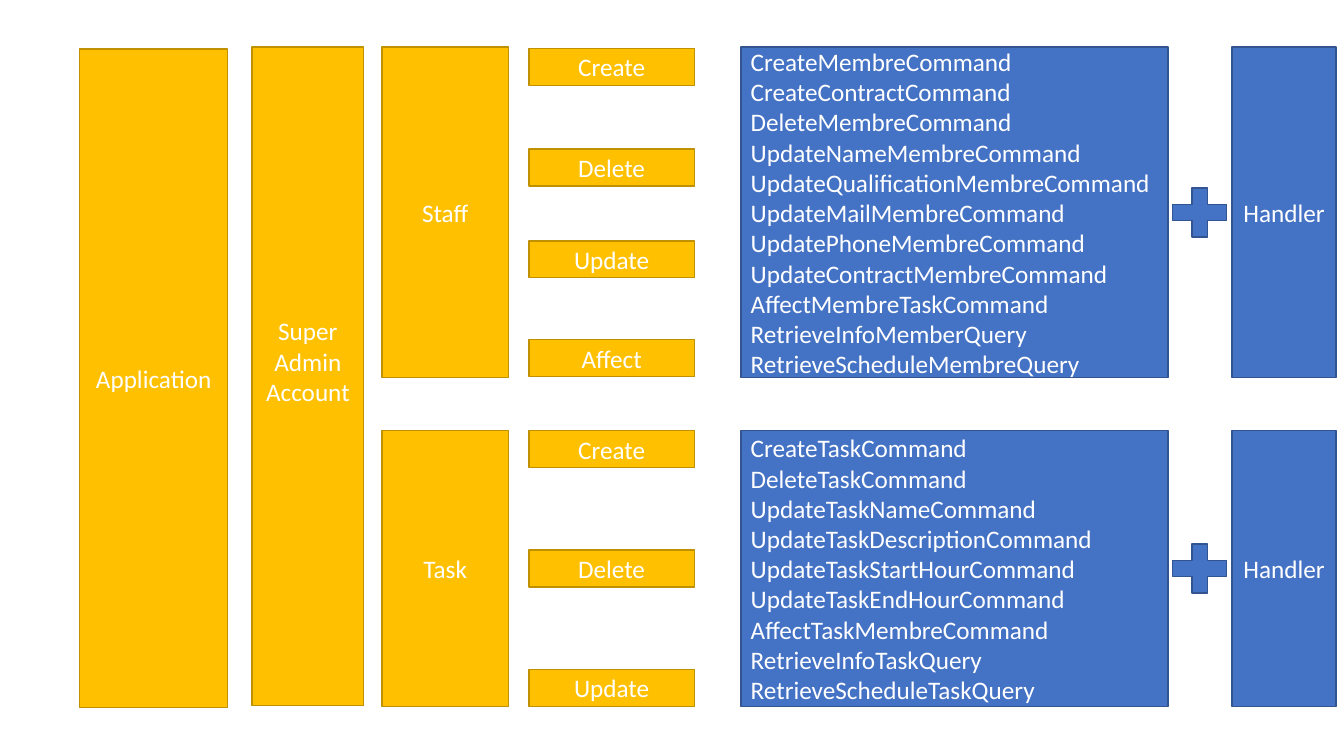
import pptx
import pptx.util
import pptx.dml.color
import pptx.enum.shapes
import pptx.enum.text

Cm = pptx.util.Cm
SHAPE = pptx.enum.shapes.MSO_SHAPE
ALIGN = pptx.enum.text.PP_ALIGN

GOLD = ("FFC000", "BF9000")
BLUE = ("4472C4", "325491")
FONT_FORMAT = {"name": "Calibri", "size": pptx.util.Pt(18)}
FRAME_FORMAT = {
    "word_wrap": True,
    "vertical_anchor": pptx.enum.text.MSO_ANCHOR.MIDDLE,
}

STAFF_ACTIONS = {"Create": 0.03, "Delete": 2.57, "Update": 4.88, "Affect": 7.37}
TASK_ACTIONS = {"Create": 0, "Delete": 3.01, "Update": 6.02}
STAFF_COMMANDS = [
    "CreateMembreCommand CreateContractCommand",
    "DeleteMembreCommand",
    "UpdateNameMembreCommand",
    "UpdateQualificationMembreCommand",
    "UpdateMailMembreCommand",
    "UpdatePhoneMembreCommand",
    "UpdateContractMembreCommand",
    "AffectMembreTaskCommand",
    "RetrieveInfoMemberQuery",
    "RetrieveScheduleMembreQuery",
]
TASK_COMMANDS = [
    "CreateTaskCommand",
    "DeleteTaskCommand",
    "UpdateTaskNameCommand",
    "UpdateTaskDescriptionCommand",
    "UpdateTaskStartHourCommand",
    "UpdateTaskEndHourCommand",
    "AffectTaskMembreCommand",
    "RetrieveInfoTaskQuery",
    "RetrieveScheduleTaskQuery",
]


def color(hex_value):
    return pptx.dml.color.RGBColor.from_string(hex_value)


def set_format(target, values):
    for key, value in values.items():
        setattr(target, key, value)


def add_block(slide, box, palette, lines=(), align=ALIGN.CENTER, kind=SHAPE.RECTANGLE):
    block = slide.shapes.add_shape(kind, *map(Cm, box))
    block.shadow.inherit = False
    block.fill.solid()
    block.fill.fore_color.rgb = color(palette[0])
    block.line.color.rgb = color(palette[1])
    block.line.width = pptx.util.Pt(1)
    frame = block.text_frame
    set_format(frame, FRAME_FORMAT)
    for index, line in enumerate(lines):
        paragraph = frame.add_paragraph() if index else frame.paragraphs[0]
        paragraph.alignment = align
        run = paragraph.add_run()
        run.text = line
        set_format(run.font, FONT_FORMAT)
        run.font.color.rgb = color("FFFFFF")
    return block


def add_access_columns(slide, left, top, height):
    add_block(slide, (left, top + 0.05, 3.73, height), GOLD, ["Application"])
    account = add_block(
        slide, (left + 4.34, top, 2.82, height), GOLD, ["Super", "Admin Account"]
    )
    account.text_frame.margin_bottom = Cm(0.9)


def add_domain(slide, left, top, height, domain, actions, commands):
    add_block(slide, (left, top, 3.18, height), GOLD, [domain])
    for action, offset in actions.items():
        add_block(slide, (left + 3.7, top + offset, 4.17, 0.93), GOLD, [action])
    add_block(slide, (left + 9.04, top, 10.77, height), BLUE, commands, ALIGN.LEFT)
    plus_box = (left + 19.68, top + (height - 1.68) / 2, 1.85, 1.68)
    add_block(slide, plus_box, BLUE, kind=SHAPE.MATH_PLUS)
    add_block(slide, (left + 21.42, top, 2.62, height), BLUE, ["Handler"])


def main():
    deck = pptx.Presentation()
    set_format(deck, {"slide_width": Cm(33.87), "slide_height": Cm(19.05)})
    slide = deck.slides.add_slide(deck.slide_layouts[6])
    add_access_columns(slide, 2.01, 1.19, 16.59)
    add_domain(slide, 9.63, 1.19, 8.33, "Staff", STAFF_ACTIONS, STAFF_COMMANDS)
    add_domain(slide, 9.63, 10.85, 6.96, "Task", TASK_ACTIONS, TASK_COMMANDS)
    deck.save("out.pptx")


if __name__ == "__main__":
    main()
